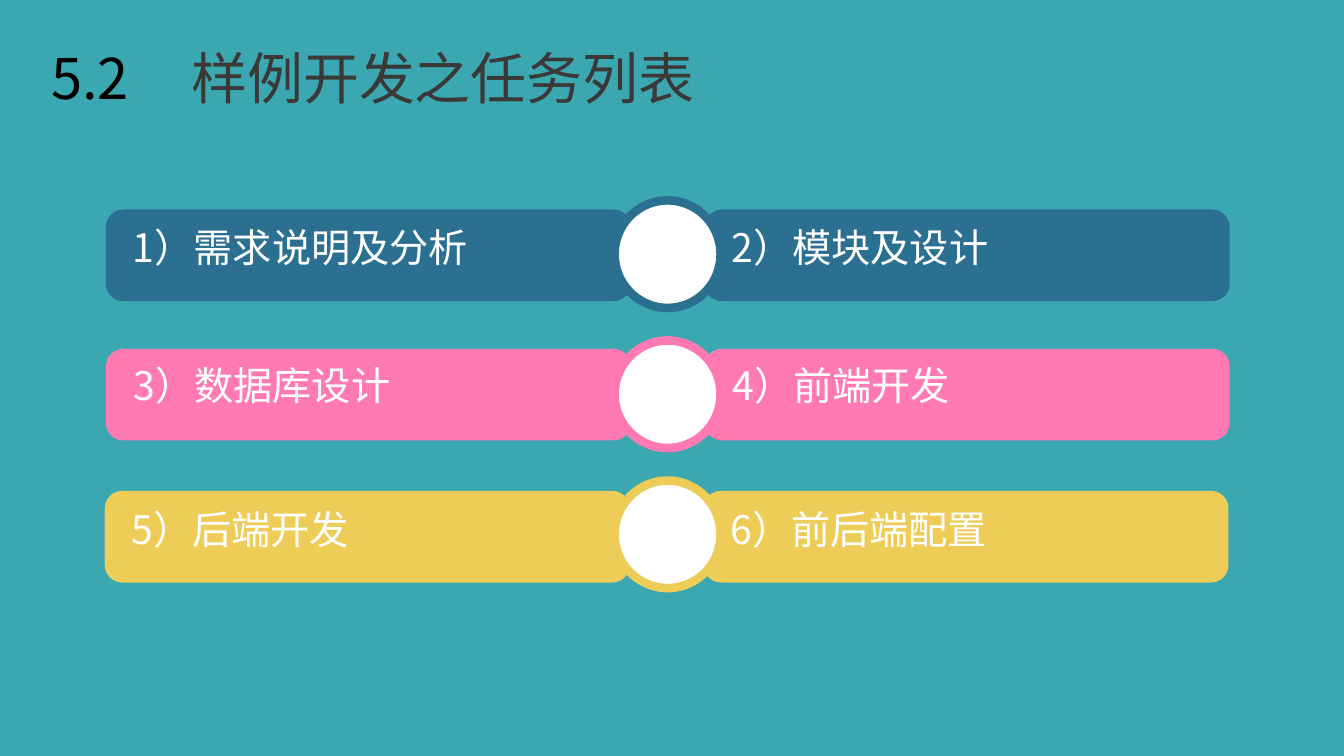
"""Build the task list slide: three coloured rows of two tasks joined by a ring."""
import dataclasses

import pptx
import pptx.dml.color
import pptx.enum.shapes
import pptx.enum.text
import pptx.oxml.ns
import pptx.util
from lxml import etree

Cm = pptx.util.Cm
Shape = pptx.enum.shapes.MSO_SHAPE
SANS = "Noto Sans CJK SC"
WHITE = "FFFFFF"
COLUMN_STEP = 15.09
RING_TOP, RING_STEP = 5.05, 3.53


@dataclasses.dataclass(frozen=True)
class TaskRow:
    """Two tasks sharing a colour; lengths are in centimetres."""
    color: str
    left: float
    top: float
    label_left: float
    label_top: float
    tasks: tuple[str, str]


@dataclasses.dataclass(frozen=True)
class Label:
    """A line of text with its place in centimetres and its font."""
    text: str
    left: float
    top: float
    width: float
    height: float
    size: int
    color: str
    font: str = SANS


ROWS = (
    TaskRow("2B6F91", 2.67, 5.28, 3.1, 5.49, ("1）需求说明及分析", "2）模块及设计")),
    TaskRow("FF7AB2", 2.67, 8.79, 3.12, 8.97, ("3）数据库设计", "4）前端开发")),
    TaskRow("EDCC58", 2.64, 12.37, 3.07, 12.6, ("5）后端开发", "6）前后端配置")),
)
HEADINGS = (
    Label("5.2", 1.04, 0.97, 4.22, 3.68, 40, "000000"),
    Label("样例开发之任务列表", 4.57, 0.97, 18.49, 3.68, 40, "3B3838", "Quicksand"),
)


def rgb(code: str) -> pptx.dml.color.RGBColor:
    """Turn a hex string into a colour."""
    return pptx.dml.color.RGBColor.from_string(code)


def add_label(page, label: Label) -> None:
    """Write one label, using its font for Chinese characters too."""
    box = page.shapes.add_textbox(
        Cm(label.left), Cm(label.top), Cm(label.width), Cm(label.height))
    box.text_frame.word_wrap = True
    box.text_frame.auto_size = pptx.enum.text.MSO_AUTO_SIZE.SHAPE_TO_FIT_TEXT
    para = box.text_frame.paragraphs[0]
    span = para.add_run()
    span.text = label.text
    para.font.size = pptx.util.Pt(label.size)
    para.font.color.rgb = rgb(label.color)
    for font in (para.font, span.font):
        font.name = label.font
    etree.SubElement(span.font._element, pptx.oxml.ns.qn("a:ea"), typeface=label.font)


def add_filled(page, kind: Shape, left: float, top: float,
               width: float, height: float, color: str):
    """Add a flat shape without an outline."""
    shape = page.shapes.add_shape(kind, Cm(left), Cm(top), Cm(width), Cm(height))
    shape.shadow.inherit = False
    shape.fill.solid()
    shape.fill.fore_color.rgb = rgb(color)
    shape.line.fill.background()
    return shape


def add_row(page, index: int, row: TaskRow) -> None:
    """Draw both bars, their labels and the ring between them."""
    for column, task in enumerate(row.tasks):
        shift = column * COLUMN_STEP
        bar = add_filled(page, Shape.ROUNDED_RECTANGLE,
                         row.left + shift, row.top, 13.23, 2.31, row.color)
        bar.adjustments[0] = 0.19
        add_label(page, Label(task, row.label_left + shift, row.label_top,
                              12.27, 1.45, 28, WHITE))
    ring = add_filled(page, Shape.OVAL, 15.49, RING_TOP + index * RING_STEP,
                      2.67, 2.71, WHITE)
    ring.line.color.rgb = rgb(row.color)
    ring.line.width = pptx.util.Pt(6.13)


def main() -> None:
    """Create the deck and save it."""
    deck = pptx.Presentation()
    deck.slide_width, deck.slide_height = Cm(33.87), Cm(19.05)
    page = deck.slides.add_slide(deck.slide_layouts[6])
    page.background.fill.solid()
    page.background.fill.fore_color.rgb = rgb("3BA7B0")
    for index, row in enumerate(ROWS):
        add_row(page, index, row)
    for heading in HEADINGS:
        add_label(page, heading)
    deck.save("out.pptx")


main()
